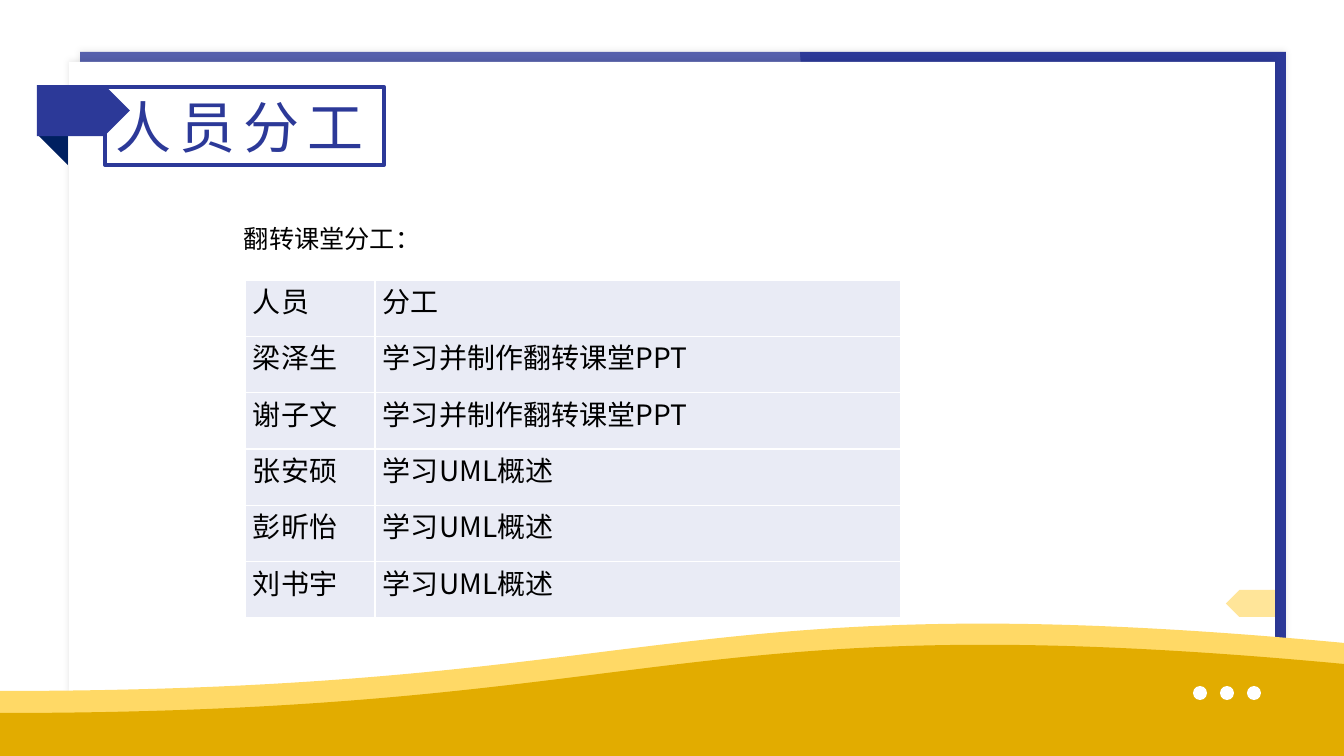
from dataclasses import dataclass

from lxml.etree import SubElement
from pptx import Presentation
from pptx.dml.color import RGBColor
from pptx.enum.shapes import MSO_SHAPE
from pptx.enum.text import MSO_ANCHOR, MSO_AUTO_SIZE, PP_ALIGN
from pptx.oxml.ns import qn
from pptx.util import Emu, Pt

PX = 914400 / 100.8


@dataclass(frozen=True)
class Theme:
    navy: str = "2C3998"
    fold: str = "002060"
    white: str = "FFFFFF"
    ink: str = "000000"
    crest: str = "FFD966"
    wave: str = "E2AC00"
    tag: str = "FFC000"
    cell: str = "E9EBF5"
    font: str = "Noto Sans CJK SC"
    title_size: int = 40
    caption_size: int = 18
    table_size: int = 20


THEME = Theme()
DUTIES = [
    ("人员", "分工"),
    ("梁泽生", "学习并制作翻转课堂PPT"),
    ("谢子文", "学习并制作翻转课堂PPT"),
    ("张安硕", "学习UML概述"),
    ("彭昕怡", "学习UML概述"),
    ("刘书宇", "学习UML概述"),
]


def px(length):
    return Emu(round(length * PX))


def paint(shape, color, alpha=None):
    shape.shadow.inherit = False
    shape.fill.solid()
    shape.fill.fore_color.rgb = RGBColor.from_string(color)
    shape.line.fill.background()
    if alpha:
        tint = shape.fill._xPr.find(qn("a:solidFill"))[0]
        SubElement(tint, qn("a:alpha"), val=str(alpha * 1000))
    return shape


def add_block(slide, kind, box, color, alpha=None, rotation=0):
    shape = slide.shapes.add_shape(kind, *map(px, box))
    shape.rotation = rotation
    return paint(shape, color, alpha)


def add_glow(shape):
    effects = shape._element.spPr.find(qn("a:effectLst"))
    shadow = SubElement(effects, qn("a:outerShdw"), blurRad=str(Pt(5)),
                        dist="0", dir="0", algn="ctr", rotWithShape="0")
    color = SubElement(shadow, qn("a:srgbClr"), val=THEME.ink)
    SubElement(color, qn("a:alpha"), val="10000")


def write(paragraph, text, size, color, spacing=None):
    run = paragraph.add_run()
    run.text = text
    run.font.name = THEME.font
    run.font.size = Pt(size)
    run.font.color.rgb = RGBColor.from_string(color)
    properties = run.font._element
    SubElement(properties, qn("a:ea"), typeface=THEME.font)
    if spacing:
        properties.set("spc", str(spacing * 100))


def add_sheets(slide, box):
    left, top, width, height = box
    back = add_block(slide, MSO_SHAPE.RECTANGLE,
                     (left + 11, top - 10, width, height), THEME.navy)
    add_glow(back)
    add_block(slide, MSO_SHAPE.FLOWCHART_DOCUMENT,
              (left + 51, top - 181, 755, 995), THEME.white, 20, 270)
    add_glow(add_block(slide, MSO_SHAPE.RECTANGLE, box, THEME.white))


def add_wave(slide, box, start_drop, color):
    left, top, width, height = box
    crest = (left + width // 2, top)
    end = (left + width, top + 19)
    outline = slide.shapes.build_freeform(left, top + start_drop, scale=PX)
    outline.add_line_segments(
        [crest, end, (left + width, top + height), (left, top + height)])
    wave = paint(outline.convert_to_shape(), color)
    crest_line, end_line = list(wave._element.iter(qn("a:lnTo")))[:2]
    end_line.tag
    curve = crest_line.makeelement(qn("a:cubicBezTo"))
    middle = width // 2
    for x, y in ((middle, start_drop), (middle, -44), (width, 19)):
        SubElement(curve, qn("a:pt"), x=str(x), y=str(y))
    contour = crest_line.getparent()
    contour.replace(crest_line, curve)
    contour.remove(end_line)


def add_footer(slide, box):
    left, top, width, height = box
    add_wave(slide, box, 67, THEME.crest)
    add_wave(slide, (left, top + 21, width, height - 21), 68, THEME.wave)
    for index in range(3):
        add_block(slide, MSO_SHAPE.OVAL,
                  (left + 1193 + 27 * index, top + 62, 14, 14), THEME.white)


def add_ribbon(slide, box):
    left, top, width, height = box
    add_block(slide, MSO_SHAPE.RIGHT_TRIANGLE,
              (left, top + height - 2, 31, 31), THEME.fold, rotation=180)
    add_block(slide, MSO_SHAPE.PENTAGON, box, THEME.navy)


def place_title(slide, box, text):
    title = slide.shapes.title
    slide.shapes._spTree.append(title._element)
    title.left, title.top, title.width, title.height = map(px, box)
    title.line.color.rgb = RGBColor.from_string(THEME.navy)
    title.line.width = Pt(3)
    frame = title.text_frame
    frame.auto_size = MSO_AUTO_SIZE.NONE
    frame.word_wrap = False
    frame.vertical_anchor = MSO_ANCHOR.MIDDLE
    frame.margin_left = frame.margin_right = px(10)
    frame.margin_top = frame.margin_bottom = px(0)
    paragraph = frame.paragraphs[0]
    paragraph.alignment = PP_ALIGN.LEFT
    write(paragraph, text, THEME.title_size, THEME.navy, 6)


def add_caption(slide, box, text):
    frame = slide.shapes.add_textbox(*map(px, box)).text_frame
    frame.word_wrap = True
    write(frame.paragraphs[0], text, THEME.caption_size, THEME.ink)


def fill_cell(cell, text):
    cell.fill.solid()
    cell.fill.fore_color.rgb = RGBColor.from_string(THEME.cell)
    cell.margin_left = cell.margin_right = px(8)
    cell.margin_top = cell.margin_bottom = px(0)
    paragraph = cell.text_frame.paragraphs[0]
    paragraph.alignment = PP_ALIGN.JUSTIFY
    write(paragraph, text, THEME.table_size, THEME.ink)


def add_duties(slide, box, duties):
    left, top, width, height = box
    table = slide.shapes.add_table(len(duties), 2, *map(px, box)).table
    table.first_row = table.horz_banding = False
    name_width = 130
    table.columns[0].width = px(name_width)
    table.columns[1].width = px(width - name_width)
    for row, entry in zip(table.rows, duties):
        row.height = px(height / len(duties))
        for cell, text in zip(row.cells, entry):
            fill_cell(cell, text)


def build_duties_slide(deck):
    slide = deck.slides.add_slide(deck.slide_layouts[5])
    add_sheets(slide, (69, 62, 1206, 632))
    add_footer(slide, (0, 624, 1344, 132))
    add_ribbon(slide, (37, 85, 93, 51))
    add_block(slide, MSO_SHAPE.PENTAGON, (1226, 590, 49, 27), THEME.tag, 40, 180)
    place_title(slide, (105, 87, 279, 78), "人员分工")
    add_caption(slide, (234, 218, 234, 72), "翻转课堂分工：")
    add_duties(slide, (245, 280, 656, 338), DUTIES)


def main():
    deck = Presentation()
    deck.slide_width, deck.slide_height = px(1344), px(756)
    build_duties_slide(deck)
    deck.save("out.pptx")


if __name__ == "__main__":
    main()
